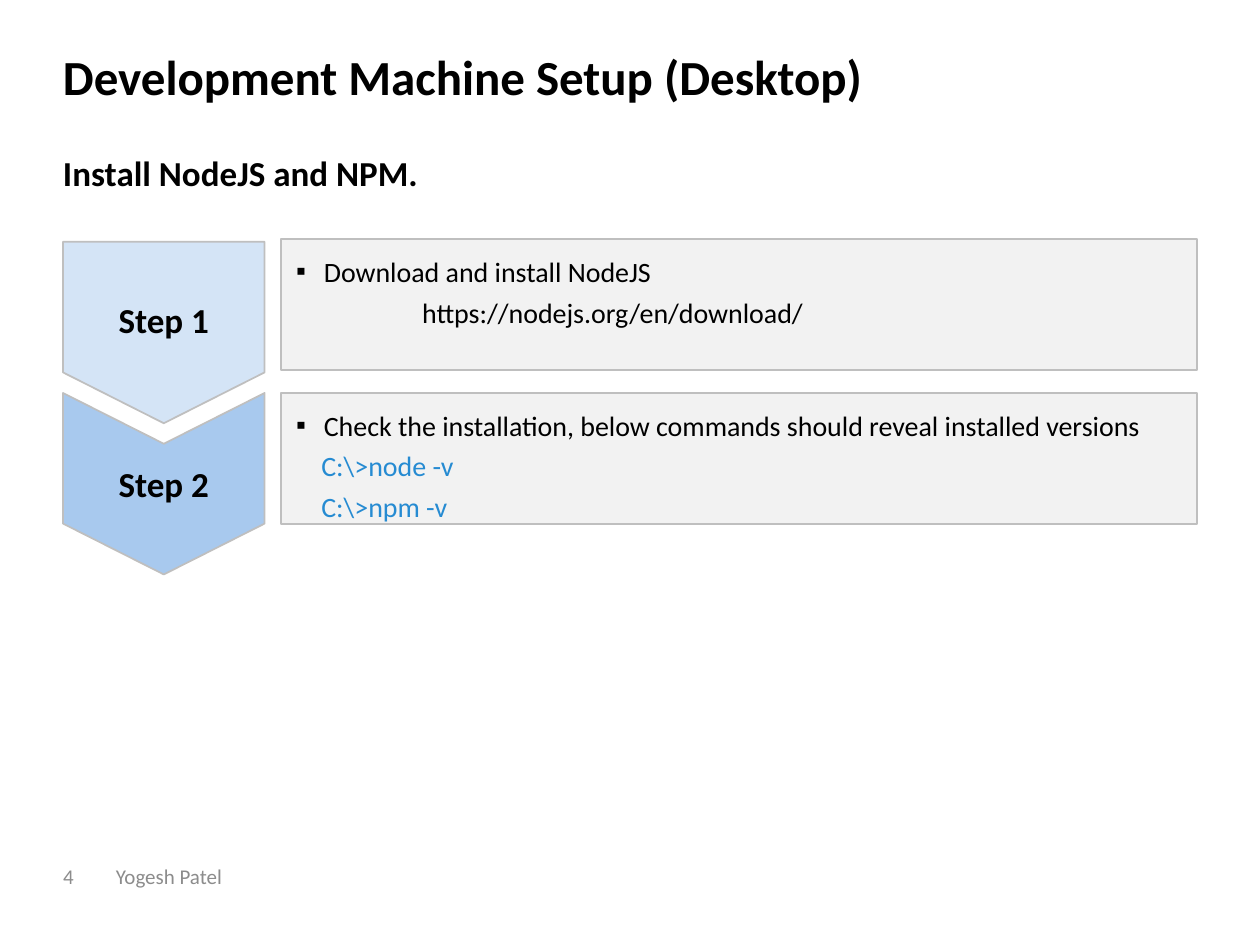
from lxml import etree
from pptx import Presentation
from pptx.dml.color import RGBColor
from pptx.enum import shapes, text
from pptx.oxml import ns
from pptx.util import Pt

BLACK = RGBColor(0x00, 0x00, 0x00)
FOOTER_GREY = RGBColor(0x8C, 0x8C, 0x8C)
BORDER_GREY = RGBColor(0xBF, 0xBF, 0xBF)
PANEL_GREY = RGBColor(0xF2, 0xF2, 0xF2)
COMMAND_BLUE = RGBColor(0x26, 0x8B, 0xD2)
PALE_BLUE = RGBColor(0xD4, 0xE4, 0xF6)
MID_BLUE = RGBColor(0xA8, 0xC9, 0xEE)

MARGIN = 36
CONTENT_WIDTH = 648
BULLET_INDENT = 15.84
COMMAND_INDENT = 14.4
LINK_INDENT = 72

STEPS = [
    ("Step 1", shapes.MSO_SHAPE.PENTAGON, PALE_BLUE, "Download and install NodeJS",
     [("https://nodejs.org/en/download/", LINK_INDENT, BLACK)]),
    ("Step 2", shapes.MSO_SHAPE.CHEVRON, MID_BLUE,
     "Check the installation, below commands should reveal installed versions",
     [("C:\\>node -v", COMMAND_INDENT, COMMAND_BLUE),
      ("C:\\>npm -v", COMMAND_INDENT, COMMAND_BLUE)]),
]


def set_font(paragraph, size, color, bold=False):
    font = paragraph.font
    font.name, font.size, font.bold = "Calibri", Pt(size), bold
    font.color.rgb = color


def set_frame(frame, inset, anchor):
    frame.word_wrap = True
    frame.vertical_anchor = anchor
    frame.margin_left = frame.margin_right = Pt(inset)
    frame.margin_top = frame.margin_bottom = Pt(inset)


def set_style(shape, fill):
    shape.shadow.inherit = False
    shape.fill.solid()
    shape.fill.fore_color.rgb = fill
    shape.line.color.rgb = BORDER_GREY
    shape.line.width = Pt(1)


def set_indent(paragraph, left, bullet=None):
    properties = paragraph._p.get_or_add_pPr()
    properties.set("marL", str(Pt(left)))
    properties.set("indent", str(Pt(-left) if bullet else 0))
    if bullet:
        etree.SubElement(properties, ns.qn("a:buFont"), typeface="Wingdings 2" if bullet == "" else "Arial")
        etree.SubElement(properties, ns.qn("a:buChar"), char=bullet)


def add_label(slide, box, words, size, color, bold=False, anchor=text.MSO_ANCHOR.TOP):
    label = slide.shapes.add_textbox(*map(Pt, box))
    set_frame(label.text_frame, 0, anchor)
    paragraph = label.text_frame.paragraphs[0]
    paragraph.text = words
    set_font(paragraph, size, color, bold)


def add_heading(slide, left, top, width):
    add_label(slide, (left, top, width, 60), "Development Machine Setup (Desktop)", 28, BLACK, True)
    add_label(slide, (left, top + 60, width, 36), "Install NodeJS and NPM.", 20, BLACK, True)


def add_panel(slide, left, top, width, height, task, details):
    panel = slide.shapes.add_shape(shapes.MSO_SHAPE.RECTANGLE, *map(Pt, (left, top, width, height)))
    set_style(panel, PANEL_GREY)
    frame = panel.text_frame
    set_frame(frame, 8.64, text.MSO_ANCHOR.TOP)
    lines = [(task, BULLET_INDENT, BLACK)] + details
    for index, (words, indent, color) in enumerate(lines):
        paragraph = frame.add_paragraph() if index else frame.paragraphs[0]
        paragraph.text = words
        paragraph.alignment = text.PP_ALIGN.LEFT
        paragraph.space_before = Pt(4)
        set_font(paragraph, 16, color)
        set_indent(paragraph, indent, None if index else "▪")


def add_step_arrow(slide, left, top, width, height, name, outline, fill):
    shift = (width - height) / 2
    arrow = slide.shapes.add_shape(outline, *map(Pt, (left + shift, top - shift, height, width)))
    arrow.rotation = 90
    arrow.adjustments[0] = 0.28
    set_style(arrow, fill)
    frame = arrow.text_frame
    set_frame(frame, 0, text.MSO_ANCHOR.MIDDLE)
    frame._txBody.bodyPr.set("vert", "vert270")
    paragraph = frame.paragraphs[0]
    paragraph.text = name
    paragraph.alignment = text.PP_ALIGN.CENTER
    set_font(paragraph, 20, BLACK, True)


def add_steps(slide, left, top, width):
    arrow_width, panel_left = 115.2, 124.6
    for index, (name, outline, fill, task, details) in enumerate(STEPS):
        add_panel(slide, left + panel_left, top + index * 87.8,
                  width - panel_left, 74.9, task, details)
        add_step_arrow(slide, left, top + 1.4 + index * 86.4,
                       arrow_width, 103.7, name, outline, fill)


def add_footer(slide, left, top):
    number_width = 30.2
    for words, offset, width in (("4", 0, number_width), ("Yogesh Patel", number_width, 489)):
        add_label(slide, (left + offset, top, width, 28.8), words, 12, FOOTER_GREY,
                  anchor=text.MSO_ANCHOR.MIDDLE)


def main():
    deck = Presentation()
    deck.slide_width, deck.slide_height = Pt(720), Pt(540)
    slide = deck.slides.add_slide(deck.slide_layouts[6])
    add_heading(slide, MARGIN, 26.6, CONTENT_WIDTH)
    add_steps(slide, MARGIN, 136.8, CONTENT_WIDTH)
    add_footer(slide, MARGIN, 486)
    deck.save("out.pptx")


if __name__ == "__main__":
    main()
